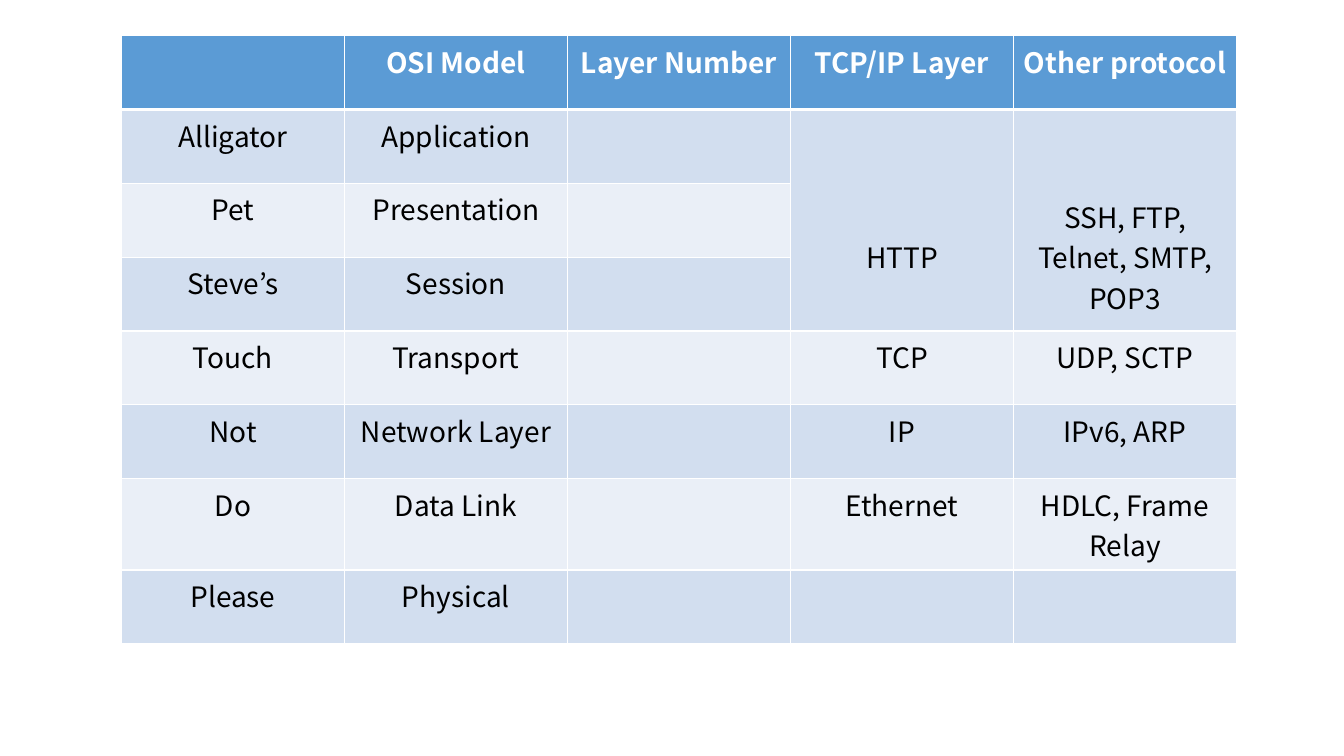
import pptx
import pptx.util
import pptx.dml.color
import pptx.enum.text
import pptx.oxml.ns
import lxml.etree

Cm = pptx.util.Cm
Pt = pptx.util.Pt
FONT = "Noto Sans CJK KR"
COLORS = {"head": "5B9BD5", "odd": "D2DEEF", "even": "EAEFF7",
          "white": "FFFFFF", "black": "000000"}
ROWS = [
    ["", "OSI Model", "Layer Number", "TCP/IP Layer", "Other protocol"],
    ["Alligator", "Application", "", "HTTP", "SSH, FTP, Telnet, SMTP, POP3"],
    ["Pet", "Presentation", "", "", ""],
    ["Steve’s", "Session", "", "", ""],
    ["Touch", "Transport", "", "TCP", "UDP, SCTP"],
    ["Not", "Network Layer", "", "IP", "IPv6, ARP"],
    ["Do", "Data Link", "", "Ethernet", "HDLC, Frame Relay"],
    ["Please", "Physical", "", "", ""],
]
# Columns whose first three layers share a cell, with the text's top margin
MERGED = {3: Cm(3.19), 4: Cm(2.17)}


def rgb(name):
    return pptx.dml.color.RGBColor.from_string(COLORS[name])


def add_edge(cell, side, width):
    qn = pptx.oxml.ns.qn
    props = cell._tc.get_or_add_tcPr()
    line = lxml.etree.SubElement(props, qn("a:ln" + side), w=str(Pt(width)))
    fill = lxml.etree.SubElement(line, qn("a:solidFill"))
    lxml.etree.SubElement(fill, qn("a:srgbClr"), val=COLORS["white"])


def add_text(cell, text, head):
    para = cell.text_frame.paragraphs[0]
    para.alignment = pptx.enum.text.PP_ALIGN.CENTER
    para.font.size = Pt(20)
    if text:
        run = para.add_run()
        run.text = text
        run.font.name = FONT
        run.font.size = Pt(20)
        run.font.bold = head
        run.font.color.rgb = rgb("white" if head else "black")


def style_cell(cell, row):
    # Edges come before the fill; the line under the header is thicker
    for side in "LRTB":
        thick = (row, side) in [(0, "B"), (1, "T")]
        add_edge(cell, side, 3 if thick else 1)
    band = "odd" if row % 2 else "even"
    cell.fill.solid()
    cell.fill.fore_color.rgb = rgb(band if row else "head")


def add_layers(slide):
    count, wide = len(ROWS), len(ROWS[0])
    frame = slide.shapes.add_table(count, wide, Cm(3.06), Cm(0.9),
                                   Cm(5.62) * wide, Cm(1.86) * count)
    table = frame.table
    for row, texts in enumerate(ROWS):
        for col, text in enumerate(texts):
            cell = table.cell(row, col)
            style_cell(cell, row)
            add_text(cell, text, row == 0)
    # Shared application cells
    for col, top in MERGED.items():
        cell = table.cell(1, col)
        cell.merge(table.cell(3, col))
        cell.margin_top = top


def main():
    deck = pptx.Presentation()
    deck.slide_width, deck.slide_height = Cm(33.87), Cm(19.05)
    slide = deck.slides.add_slide(deck.slide_layouts[6])
    add_layers(slide)
    deck.save("out.pptx")


main()
